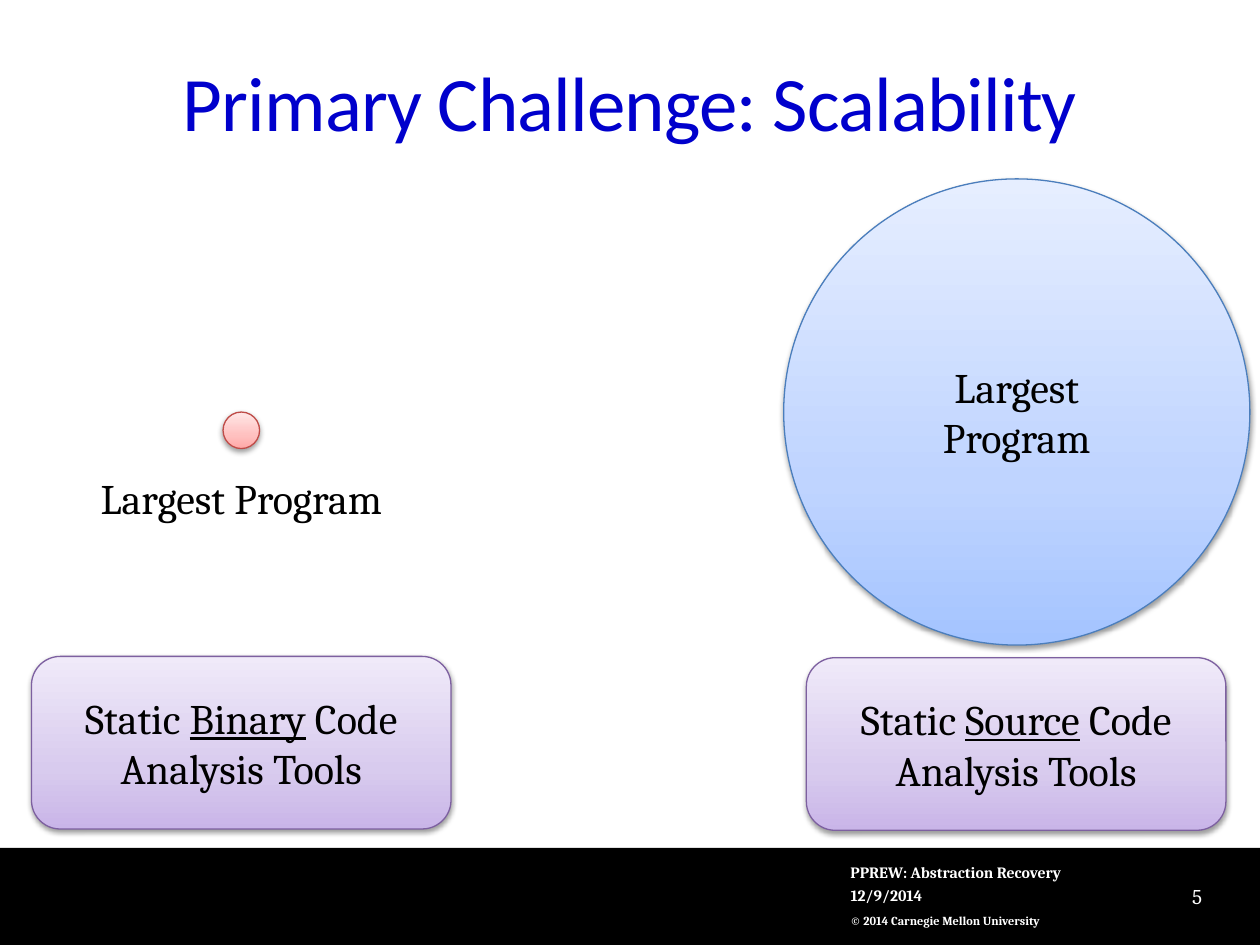
from pptx import Presentation
from pptx.dml.color import RGBColor
from pptx.enum.shapes import MSO_SHAPE as Form
from pptx.enum.text import MSO_ANCHOR as Anchor, PP_ALIGN as Align
from pptx.oxml.ns import qn
from pptx.util import Inches, Pt
from lxml.etree import SubElement as Sub

COLS, ROWS = 100, 75
BLACK, WHITE = "000000", "FFFFFF"
RED = ("FFA6A5", "FFC0BF", "FFE7E7", "BF4C48")
BLUE = ("A4C4FF", "BFD4FF", "E6EEFF", "4B7EBC")
PLUM = ("C9B5E8", "D8CBEE", "F0EAF9", "7D60A0")


def tint(code):
    """Turn a hex string into a colour."""
    return RGBColor.from_string(code)


class Deck:
    """Hold the style and the current slide; places are grid columns and rows."""

    def __init__(self):
        self.show = Presentation()
        self.show.slide_width, self.show.slide_height = Inches(10), Inches(7.5)
        self.slide = self.show.slides.add_slide(self.show.slide_layouts[6])
        self.face = "Cambria"

    def place(self, col, row, wide, high):
        """Turn grid cells into slide lengths."""
        x, y = self.show.slide_width / COLS, self.show.slide_height / ROWS
        return [int(n) for n in (col * x, row * y, wide * x, high * y)]

    def label(self, shape, lines, size=24, color=BLACK, face=None, bold=False,
              align=Align.CENTER, anchor=Anchor.MIDDLE, pad=(0, 0, 0, 0),
              lead=None, track=None):
        """Fill a shape with lines, underlining words set between bars."""
        frame = shape.text_frame
        frame.word_wrap, frame.vertical_anchor = True, anchor
        (frame.margin_left, frame.margin_top,
         frame.margin_right, frame.margin_bottom) = [Inches(p) for p in pad]
        for i, line in enumerate(lines):
            para = frame.add_paragraph() if i else frame.paragraphs[0]
            para.alignment, para.line_spacing = align, lead
            for j, part in enumerate(line.split("|")):
                run = para.add_run()
                run.text = part
                font = run.font
                font.name, font.size, font.bold = face or self.face, Pt(size), bold
                font.color.rgb = tint(color)
                if j % 2:
                    font.underline = True
                if track:
                    run._r.get_or_add_rPr().set("spc", str(track))

    def text(self, spot, *lines, **style):
        """Add a text box."""
        self.label(self.slide.shapes.add_textbox(*self.place(*spot)), lines, **style)

    def band(self, spot, color):
        """Add a plain bar."""
        bar = self.slide.shapes.add_shape(Form.RECTANGLE, *self.place(*spot))
        bar.shadow.inherit = False
        bar.fill.solid()
        bar.fill.fore_color.rgb = tint(color)
        bar.line.fill.background()

    def glow(self, form, spot, shades, *lines):
        """Add a shaded shape with a soft shadow."""
        shape = self.slide.shapes.add_shape(form, *self.place(*spot))
        *stops, edge = shades
        shape.fill.gradient()
        shape.fill.gradient_angle = 90
        shape.line.color.rgb, shape.line.width = tint(edge), Pt(0.75)
        shape.shadow.inherit = False
        props = shape._element.spPr
        ramp = props.find(".//" + qn("a:gsLst"))
        ramp.clear()
        for pos, code in zip((0, 35, 100), stops):
            stop = Sub(ramp, qn("a:gs"), pos=str(pos * 1000))
            Sub(stop, qn("a:srgbClr"), val=code)
        cast = Sub(props.find(qn("a:effectLst")), qn("a:outerShdw"), blurRad="40000",
                   dist="20000", dir="5400000", rotWithShape="0")
        Sub(Sub(cast, qn("a:srgbClr"), val=BLACK), qn("a:alpha"), val="38000")
        if lines:
            self.label(shape, lines)


def main():
    """Build the slide."""
    deck = Deck()
    deck.band((0, 67.3, 100, 7.7), BLACK)
    note = dict(color=WHITE, bold=True, align=Align.LEFT)
    deck.text((67.5, 71.5, 25, 2.6), "© 2014 Carnegie Mellon University",
              size=7, lead=1.5, pad=(0, .05, .05, .05), **note)
    deck.text((5, 1.7, 90, 12.5), "Primary Challenge: Scalability", size=44,
              color="0000CC", face="Calibri", track=-50, pad=(0, .05, 0, .05))

    deck.glow(Form.ROUNDED_RECTANGLE, (64, 52.2, 33.3, 13.7), PLUM,
              "Static |Source| Code Analysis Tools")
    deck.glow(Form.OVAL, (62.2, 14.2, 37, 37), BLUE, "Largest", "Program")
    deck.glow(Form.ROUNDED_RECTANGLE, (2.5, 52.1, 33.3, 13.7), PLUM,
              "Static |Binary| Code", "Analysis Tools")
    deck.glow(Form.OVAL, (17.7, 32.7, 2.9, 2.9), RED)
    deck.text((5, 37.5, 28.3, 4), "Largest Program", anchor=Anchor.TOP)

    foot = dict(note, size=9, anchor=Anchor.BOTTOM, pad=(0, .05, .1, .05))
    deck.text((67.5, 69.8, 30.8, 2.5), "12/9/2014", **foot)
    deck.text((67.5, 68, 19.6, 2.5), "PPREW: Abstraction Recovery", **foot)
    deck.text((90.8, 69.1, 5.6, 4), "5", size=12, color=WHITE,
              align=Align.RIGHT, pad=(.1, .05, .1, .05))
    deck.show.save("out.pptx")


if __name__ == "__main__":
    main()
